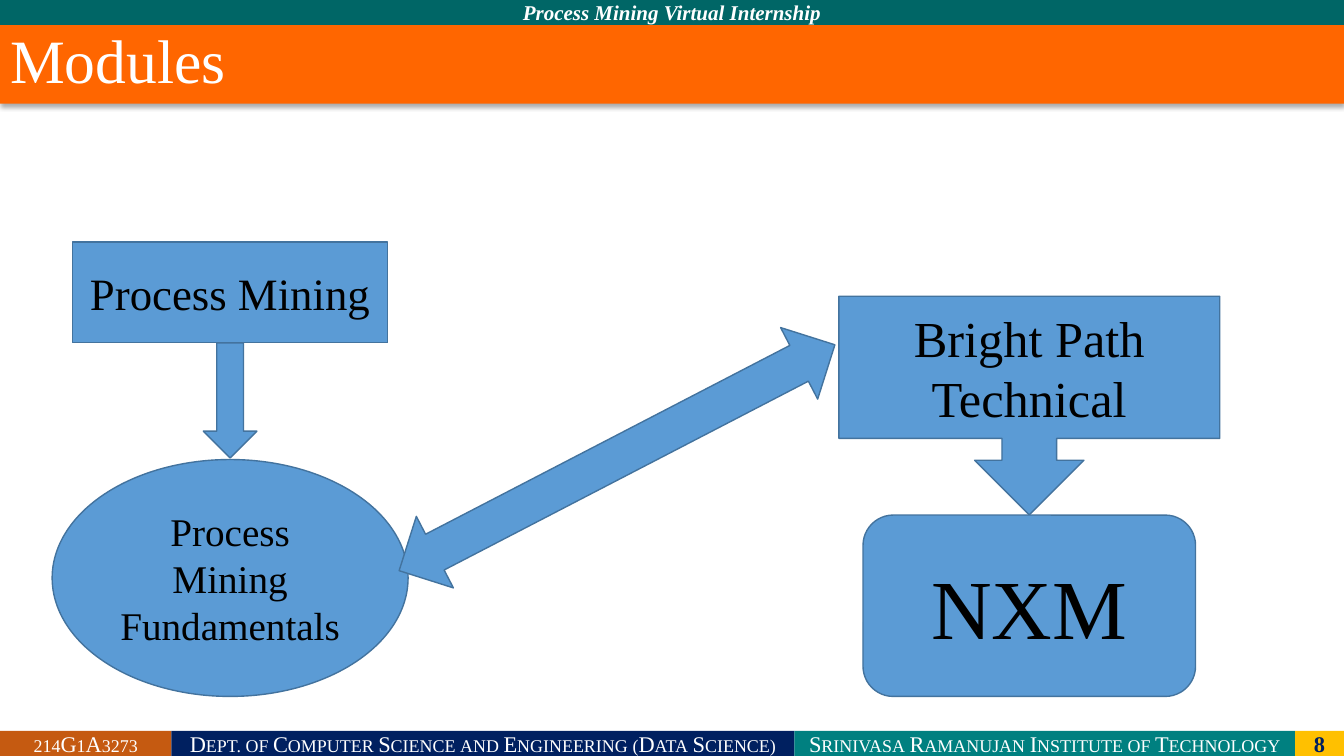
from pptx import Presentation
from pptx.dml.color import RGBColor
from pptx.enum.shapes import MSO_SHAPE
from pptx.enum.text import MSO_ANCHOR, MSO_AUTO_SIZE, PP_ALIGN
from pptx.oxml import parse_xml
from pptx.util import Cm, Pt

FONT = "Times New Roman"
WIDTH, HEIGHT = 33.87, 19.05
BAR_H = 0.63
HEADER = ("Process Mining Virtual Internship", "006666")
TITLE = "Modules"
FOOTER = [
    ("214G1A3273", 4.32, "C55A11"),
    ("Dept. of Computer Science and Engineering (Data Science)", 15.7, "002060"),
    ("Srinivasa Ramanujan Institute of Technology", 12.62, "008080"),
]
PAGE = ("8", 1.23, "FFC000")
LEFT_X, MIDDLE_X, RIGHT_X = 5.8, 15.55, 25.94
MODULES = [
    (MSO_SHAPE.RECTANGLE, LEFT_X, 6.1, 7.95, 2.54, 0, ["Process Mining"], 32),
    (MSO_SHAPE.DOWN_ARROW, LEFT_X, 8.64, 1.35, 2.9, 0, [], 0),
    (MSO_SHAPE.OVAL, LEFT_X, 11.58, 8.97, 5.97, 0, ["Process Mining", "Fundamentals"], 28),
    (MSO_SHAPE.LEFT_RIGHT_ARROW, MIDDLE_X, 10.52, 12.37, 2.03, 332.6, [], 0),
    (MSO_SHAPE.LEFT_ARROW_CALLOUT, RIGHT_X, 5.42, 5.51, 9.6, 270, ["Bright Path Technical"], 36),
    (MSO_SHAPE.FLOWCHART_ALTERNATE_PROCESS, RIGHT_X, 12.98, 8.38, 4.57, 0, ["NXM"], 60),
]
SHADOW = (
    '<a:effectLst xmlns:a="http://schemas.openxmlformats.org/drawingml/2006/main">'
    '<a:outerShdw blurRad="44450" dist="27940" dir="5400000" algn="ctr" rotWithShape="0">'
    '<a:srgbClr val="000000"><a:alpha val="32000"/></a:srgbClr>'
    '</a:outerShdw></a:effectLst>'
)


def rgb(value):
    return RGBColor.from_string(value)


def fill_shape(sp, fill, line=None):
    sp.fill.solid()
    sp.fill.fore_color.rgb = rgb(fill)
    if line:
        sp.line.color.rgb = rgb(line)
        sp.line.width = Pt(1)
    else:
        sp.line.fill.background()


def write(sp, lines, size, color, align=PP_ALIGN.CENTER, anchor=MSO_ANCHOR.MIDDLE):
    tf = sp.text_frame
    tf.word_wrap = True
    tf.auto_size = MSO_AUTO_SIZE.NONE
    tf.vertical_anchor = anchor
    tf.text = "\n".join(lines)
    for p in tf.paragraphs:
        p.alignment = align
        p.font.name = FONT
        p.font.size = Pt(size)
        p.font.color.rgb = rgb(color)
    return tf.paragraphs[0]


def add_shape(s, kind, x, y, w, h, fill, line=None):
    sp = s.shapes.add_shape(kind, Cm(x), Cm(y), Cm(w), Cm(h))
    sp.shadow.inherit = False
    fill_shape(sp, fill, line)
    return sp


def add_bar(s, text, x, y, w, fill, size=16, color="FFFFFF"):
    sp = add_shape(s, MSO_SHAPE.RECTANGLE, x, y, w, BAR_H, fill)
    return write(sp, [text], size, color)


def add_title(s):
    sp = s.shapes.title
    sp.left, sp.top, sp.width, sp.height = Cm(0), Cm(BAR_H), Cm(WIDTH), Cm(1.98)
    fill_shape(sp, "FF6600")
    sp._element.spPr.append(parse_xml(SHADOW))
    p = write(sp, [TITLE], 44, "FFFFFF", PP_ALIGN.LEFT, MSO_ANCHOR.TOP)
    p.line_spacing = 0.9


def add_bars(s):
    text, fill = HEADER
    p = add_bar(s, text, 0, 0, WIDTH, fill, 15)
    p.font.bold = p.font.italic = True
    x, y = 0, HEIGHT - BAR_H
    for text, w, fill in FOOTER:
        p = add_bar(s, text, x, y, w, fill)
        p.runs[0].font._element.set("cap", "small")
        x += w
    text, w, fill = PAGE
    p = add_bar(s, text, x, y, w, fill, color="002060")
    p.font.bold = True


def add_modules(s):
    for kind, center, y, w, h, angle, lines, size in MODULES:
        sp = add_shape(s, kind, center - w / 2, y, w, h, "5B9BD5", "43739E")
        sp.rotation = angle
        if lines:
            write(sp, lines, size, "000000")
        if kind == MSO_SHAPE.LEFT_ARROW_CALLOUT:
            sp.text_frame._txBody.bodyPr.set("vert", "vert")


def main():
    prs = Presentation()
    prs.slide_width, prs.slide_height = Cm(WIDTH), Cm(HEIGHT)
    s = prs.slides.add_slide(prs.slide_layouts[5])
    add_title(s)
    add_bars(s)
    add_modules(s)
    prs.save("out.pptx")


if __name__ == "__main__":
    main()
